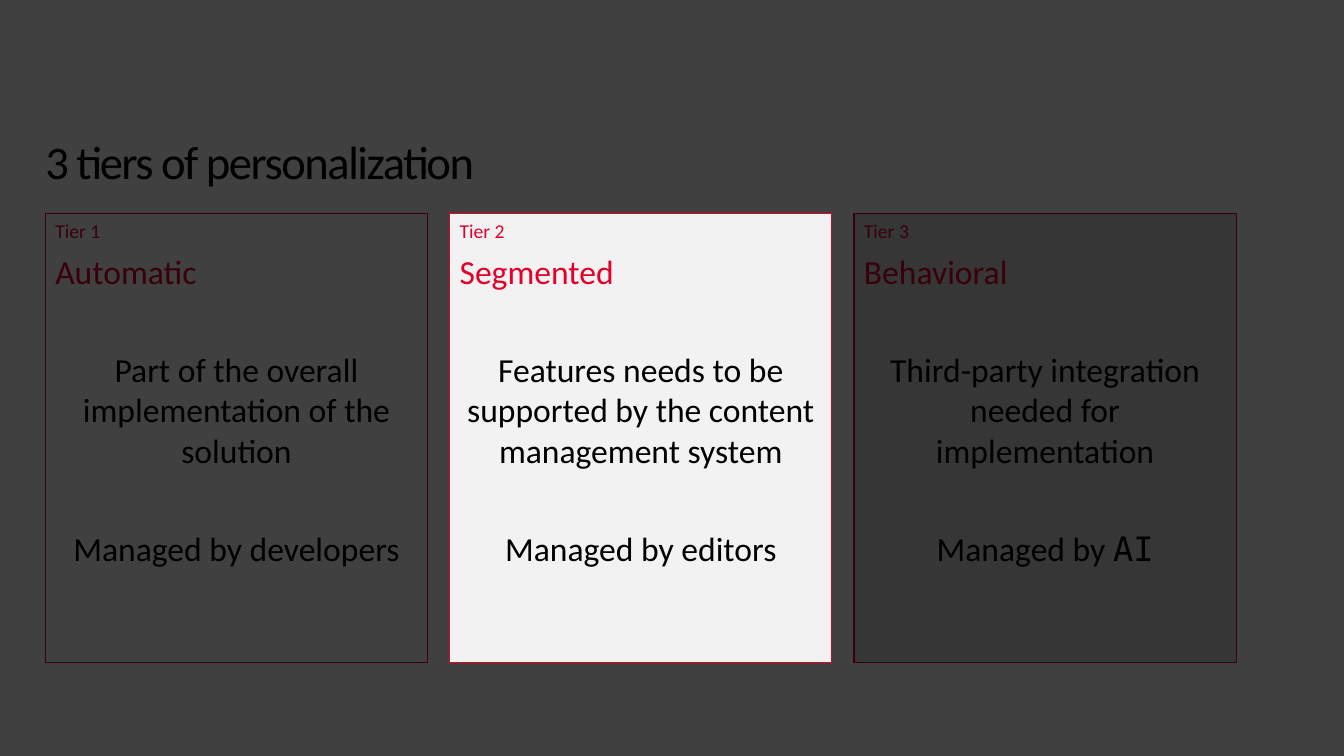
"""Build the slide on three tiers of personalization, with the middle tier lit."""
from dataclasses import dataclass

from lxml import etree
from pptx import Presentation, util as u
from pptx.dml.color import RGBColor
from pptx.enum import shapes, text
from pptx.oxml.ns import qn

RED = RGBColor(0xE3, 0x00, 0x2B)
BLACK = RGBColor(0x00, 0x00, 0x00)
WHITE = RGBColor(0xFF, 0xFF, 0xFF)
PALE = RGBColor(0xF2, 0xF2, 0xF2)
GREY = RGBColor(0xD9, 0xD9, 0xD9)
SANS, MONO = "Calibri", "DejaVu Sans Mono"
WIDE, HIGH = u.Inches(13.33), u.Inches(7.5)
LEFT, TOP, STEP = u.Inches(0.45), u.Inches(2.12), u.Inches(4.01)
CARD_W, CARD_H = u.Inches(3.79), u.Inches(4.45)
AFTER, GAP = u.Pt(6), u.Pt(35.3)


@dataclass
class Tier:
    rank: int
    name: str
    need: str
    owner: str
    fill: RGBColor
    mono: bool = False


AUTO = Tier(1, "Automatic", "Part of the overall implementation of the solution",
            "developers", WHITE)
SEGMENT = Tier(2, "Segmented",
               "Features needs to be supported by the content management system",
               "editors", PALE)
HABIT = Tier(3, "Behavioral", "Third-party integration needed for implementation",
             "AI", GREY, mono=True)


def add_run(para, words: str, size: float, color: RGBColor, face: str = SANS):
    run = para.add_run()
    run.text = words
    run.font.size = u.Pt(size)
    run.font.name = face
    run.font.color.rgb = color
    return run


def add_box(slide, left: int, top: int, width: int, height: int, fill: RGBColor):
    box = slide.shapes.add_shape(shapes.MSO_SHAPE.RECTANGLE, left, top, width, height)
    box.shadow.inherit = False
    box.fill.solid()
    box.fill.fore_color.rgb = fill
    return box


def add_title(slide, words: str) -> None:
    title = slide.shapes.title
    title.left, title.top = LEFT, u.Inches(1.32)
    title.width, title.height = u.Inches(7.14), u.Inches(0.81)
    frame = title.text_frame
    frame.margin_left = frame.margin_right = frame.margin_top = frame.margin_bottom = 0
    frame.vertical_anchor = text.MSO_ANCHOR.TOP
    frame.auto_size = text.MSO_AUTO_SIZE.NONE
    para = frame.paragraphs[0]
    para.alignment = text.PP_ALIGN.LEFT
    run = add_run(para, words, 33.3, BLACK)
    run._r.get_or_add_rPr().set("spc", "-110")


def add_card(slide, tier: Tier) -> None:
    card = add_box(slide, LEFT + (tier.rank - 1) * STEP, TOP, CARD_W, CARD_H, tier.fill)
    card.line.color.rgb = RED
    card.line.width = u.Pt(0.75)
    frame = card.text_frame
    frame.word_wrap = True
    frame.vertical_anchor = text.MSO_ANCHOR.TOP
    rank, name, need, owner = frame.paragraphs[0], *(frame.add_paragraph() for _ in range(3))
    for para in (rank, name, need, owner):
        para.space_after = AFTER
        para.alignment = text.PP_ALIGN.LEFT
    for para in (need, owner):
        para.space_before = GAP
        para.alignment = text.PP_ALIGN.CENTER
    add_run(rank, f"Tier {tier.rank}", 14, RED)
    add_run(name, tier.name, 24, RED)
    add_run(need, tier.need, 24, BLACK)
    add_run(owner, "Managed by ", 24, BLACK)
    add_run(owner, tier.owner, 24, BLACK, MONO if tier.mono else SANS)


def add_shade(slide) -> None:
    shade = add_box(slide, 0, 0, WIDE, HIGH, BLACK)
    shade.line.fill.background()
    color = shade._element.spPr.find(qn("a:solidFill")).find(qn("a:srgbClr"))
    etree.SubElement(color, qn("a:alpha")).set("val", "75000")


def main() -> None:
    deck = Presentation()
    deck.slide_width, deck.slide_height = WIDE, HIGH
    slide = deck.slides.add_slide(deck.slide_layouts[5])
    slide.background.fill.solid()
    slide.background.fill.fore_color.rgb = WHITE
    add_title(slide, "3 tiers of personalization")
    for tier in (AUTO, HABIT):
        add_card(slide, tier)
    add_shade(slide)
    add_card(slide, SEGMENT)
    deck.save("out.pptx")


if __name__ == "__main__":
    main()
